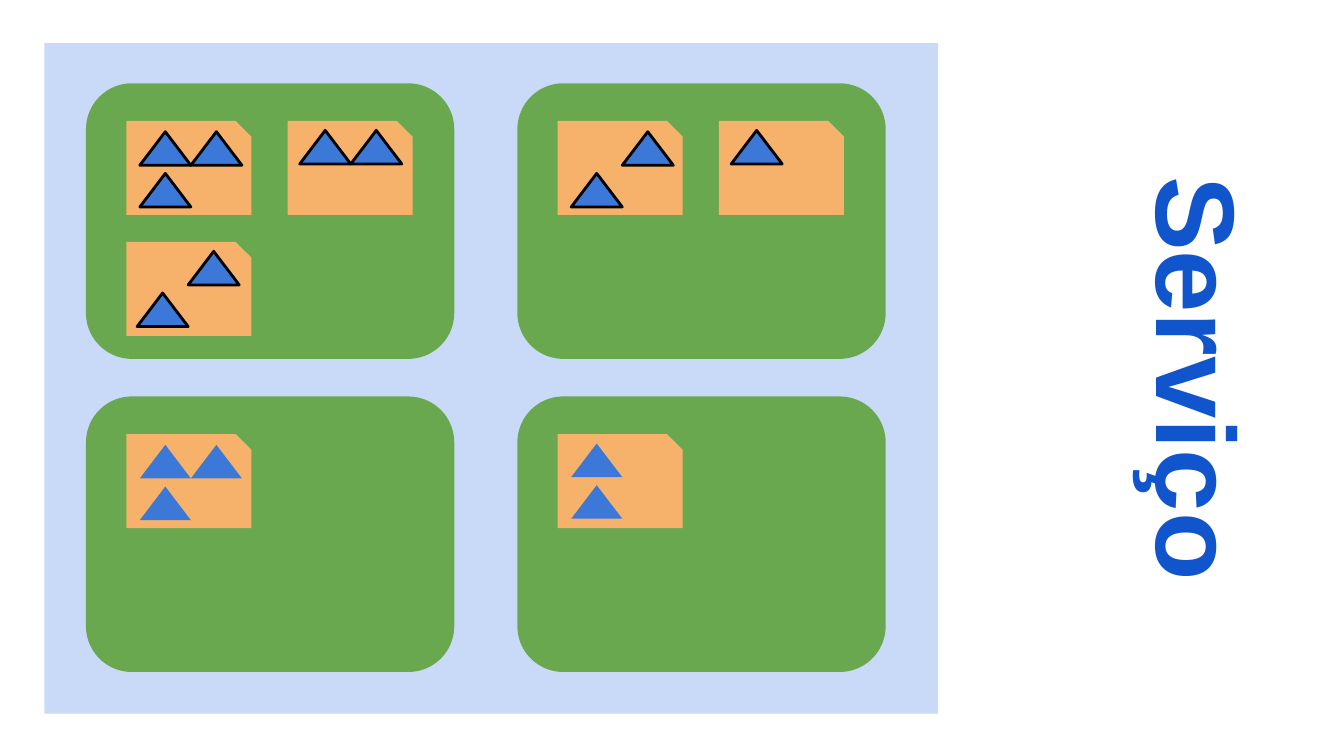
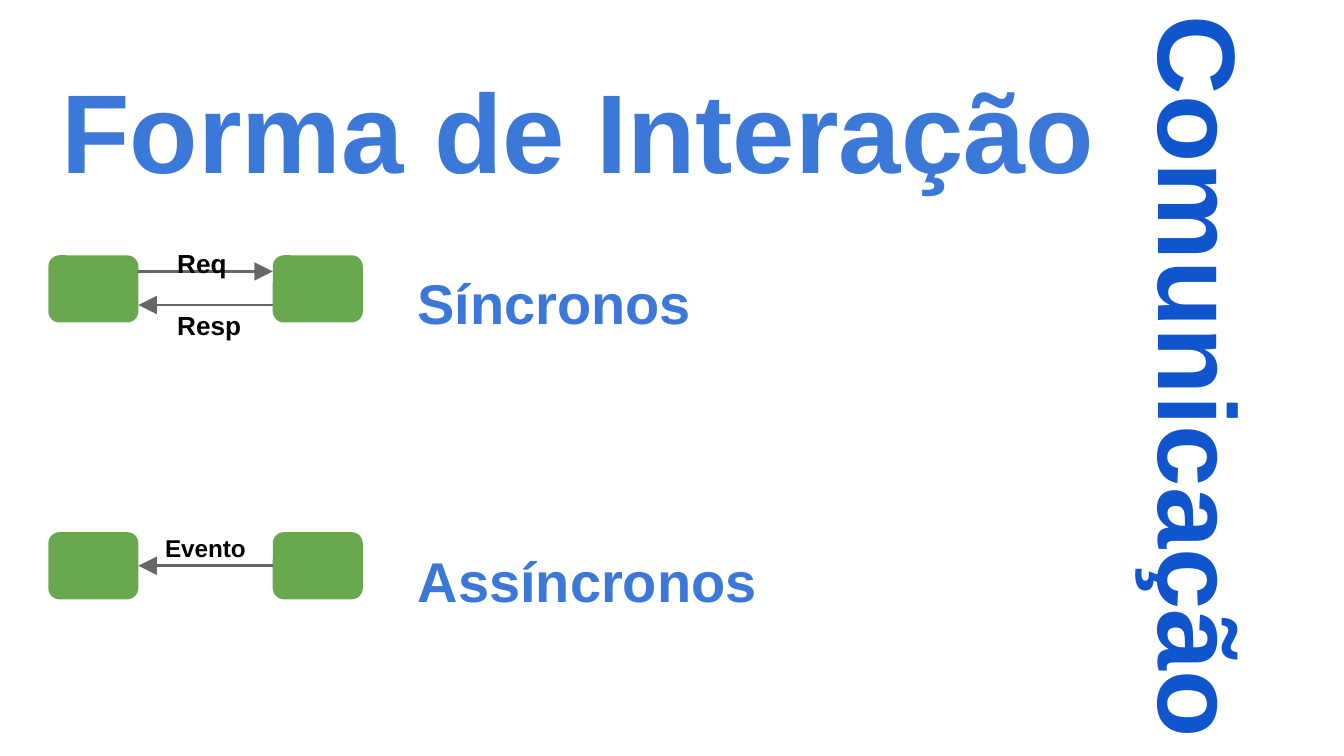
from pptx import Presentation, util as u
from pptx.dml.color import RGBColor
from pptx.enum import shapes, text
from pptx.oxml.ns import qn
from lxml import etree

I = u.Inches
G = shapes.MSO_SHAPE
C = {"panel": "C9DAF8", "node": "6AA84F", "card": "F6B26B", "pod": "3C78D8",
     "side": "1155CC", "black": "000000", "arrow": "666666"}
FONT = "Arial"
BOX_W, BOX_H, BOX_GAP = 0.67, 0.5, 1.0


def rgb(name):
    return RGBColor.from_string(C[name])


def add_shape(s, kind, x, y, w, h, fill, outline=False):
    sp = s.shapes.add_shape(kind, I(x), I(y), I(w), I(h))
    sp.shadow.inherit = False
    sp.fill.solid()
    sp.fill.fore_color.rgb = rgb(fill)
    if outline:
        sp.line.color.rgb = rgb("black")
        sp.line.width = u.Pt(1.5)
    else:
        sp.line.fill.background()
    return sp


def add_text(s, x, y, w, h, words, size, color="pod", align=text.PP_ALIGN.LEFT):
    sp = s.shapes.add_textbox(I(x), I(y), I(w), I(h))
    tf = sp.text_frame
    tf.word_wrap = True
    tf.margin_left = tf.margin_right = tf.margin_top = tf.margin_bottom = I(0.1)
    p = tf.paragraphs[0]
    p.text = words
    p.alignment = align
    p.font.name = FONT
    p.font.size = u.Pt(size)
    p.font.bold = True
    p.font.color.rgb = rgb(color)
    return sp


def add_side_title(s, x, y, w, words, size):
    sp = add_text(s, x, y, w, 2.15, words, size, "side", text.PP_ALIGN.CENTER)
    sp.rotation = 90


def add_arrow(s, x1, y1, x2, y2):
    cn = s.shapes.add_connector(shapes.MSO_CONNECTOR.STRAIGHT, I(x1), I(y1), I(x2), I(y2))
    cn.line.color.rgb = rgb("arrow")
    cn.line.width = u.Pt(1.5)
    ln = cn._element.spPr.find(qn("a:ln"))
    etree.SubElement(ln, qn("a:tailEnd"), type="triangle", w="lg", len="lg")
    etree.SubElement(cn._element.spPr, qn("a:effectLst"))
    return cn


def add_card(s, x, y, pad, pods, outline):
    add_shape(s, G.SNIP_1_RECTANGLE, x, y, 0.93, 0.7, "card")
    for col, row in pods:
        add_shape(s, G.ISOSCELES_TRIANGLE, x + pad[0] + col * 0.38,
                  y + pad[1] + row * 0.31, 0.38, 0.25, "pod", outline)


def add_node(s, x, y, cards, outline):
    add_shape(s, G.ROUNDED_RECTANGLE, x, y, 2.74, 2.05, "node")
    for col, row, pad, pods in cards:
        add_card(s, x + 0.3 + col * 1.2, y + 0.28 + row * 0.9, pad, pods, outline)


def add_box_pair(s, x, y):
    return [add_shape(s, G.ROUNDED_RECTANGLE, x + i * (BOX_W + BOX_GAP), y,
                      BOX_W, BOX_H, "node") for i in range(2)]


def add_sync(s, x, y):
    add_box_pair(s, x, y)
    left, right = x + BOX_W, x + BOX_W + BOX_GAP
    add_arrow(s, left, y + 0.12, right, y + 0.12)
    add_arrow(s, right, y + 0.37, left, y + 0.37)
    add_text(s, x + 0.86, y - 0.16, 0.62, 0.36, "Req", 14, "black")
    add_text(s, x + 0.86, y + 0.3, 0.77, 0.36, "Resp", 14, "black")
    add_text(s, x + 2.65, y, 5.83, 0.73, "Síncronos", 30)


def add_async(s, x, y):
    receiver, sender = add_box_pair(s, x, y)
    mid = y + BOX_H / 2
    cn = add_arrow(s, x + BOX_W + BOX_GAP, mid, x + BOX_W, mid)
    cn.begin_connect(sender, 1)
    cn.end_connect(receiver, 3)
    add_text(s, x + 0.77, y - 0.09, 0.86, 0.36, "Evento", 13, "black")
    add_text(s, x + 2.65, y + 0.01, 5.83, 0.73, "Assíncronos", 30)


def service_slide(prs):
    s = prs.slides.add_slide(prs.slide_layouts[6])
    x, y = 0.33, 0.32
    add_shape(s, G.RECTANGLE, x, y, 6.65, 4.99, "panel")
    wide, tight, low = (0.1, 0.08), (0.09, 0.07), (0.1, 0.07)
    corner = [(0, 0), (1, 0), (0, 1)]
    diagonal = [(1, 0), (0, 1)]
    nodes = [
        [[(0, 0, wide, corner), (1, 0, tight, corner[:2]), (0, 1, (0.08, 0.07), diagonal)],
         [(0, 0, wide, diagonal), (1, 0, tight, corner[:1])]],
        [[(0, 0, wide, corner)],
         [(0, 0, low, [(0, 0), (0, 1)])]],
    ]
    for row, line in enumerate(nodes):
        for col, cards in enumerate(line):
            add_node(s, x + 0.31 + col * 3.21, y + 0.3 + row * 2.33, cards, row == 0)
    add_side_title(s, 5.97, 1.74, 4.99, "Serviço", 60)


def communication_slide(prs):
    s = prs.slides.add_slide(prs.slide_layouts[6])
    x = 0.36
    add_text(s, x, 0.36, 8.23, 0.73, "Forma de Interação", 60)
    add_sync(s, x, 1.9)
    add_async(s, x, 3.96)
    add_side_title(s, 5.64, 1.73, 5.65, "Comunicação", 59)


def main():
    prs = Presentation()
    prs.slide_width = I(10)
    prs.slide_height = I(10 * 9 / 16)
    service_slide(prs)
    communication_slide(prs)
    prs.save("out.pptx")


if __name__ == "__main__":
    main()
